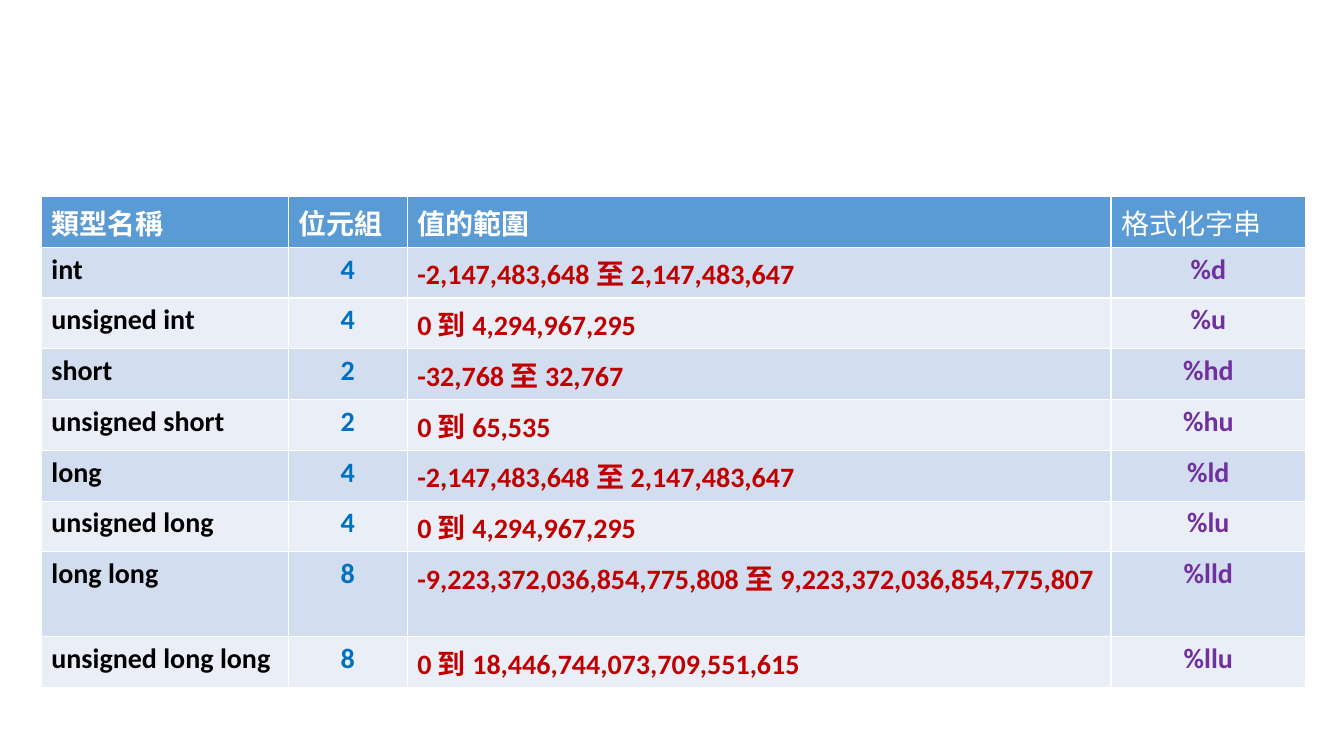
import pptx
import pptx.dml.color
import pptx.enum.text
import pptx.util

Inches = pptx.util.Inches
ALIGN = pptx.enum.text.PP_ALIGN

HEADERS = ["類型名稱", "位元組", "值的範圍", "格式化字串"]
INTEGER_TYPES = [
    ("int", "4", "-2,147,483,648 至 2,147,483,647", "%d"),
    ("unsigned int", "4", "0 到 4,294,967,295", "%u"),
    ("short", "2", "-32,768 至 32,767", "%hd"),
    ("unsigned short", "2", "0 到 65,535", "%hu"),
    ("long", "4", "-2,147,483,648 至 2,147,483,647", "%ld"),
    ("unsigned long", "4", "0 到 4,294,967,295", "%lu"),
    ("long long", "8", "-9,223,372,036,854,775,808 至 9,223,372,036,854,775,807", "%lld"),
    ("unsigned long long", "8", "0 到 18,446,744,073,709,551,615", "%llu"),
]
# Width in inches, body text colour, body alignment
COLUMNS = [
    (2.45, "000000", ALIGN.LEFT),
    (1.18, "0070C0", ALIGN.CENTER),
    (6.98, "C00000", ALIGN.LEFT),
    (1.93, "7030A0", ALIGN.CENTER),
]
HEADER_FILL = "5B9BD5"
BAND_FILLS = ["D2DEEF", "EAEFF7"]
LEFT, TOP, ROW_HEIGHT = 0.41, 1.95, 0.41


def rgb(color):
    return pptx.dml.color.RGBColor.from_string(color)


def fill_cell(cell, text, fill, color, alignment, bold=True):
    cell.fill.solid()
    cell.fill.fore_color.rgb = rgb(fill)
    cell.text_frame.text = text
    paragraph = cell.text_frame.paragraphs[0]
    paragraph.alignment = alignment
    font = paragraph.runs[0].font
    font.name = "Calibri"
    font.size = pptx.util.Pt(20)
    font.bold = bold
    font.color.rgb = rgb(color)


def main():
    presentation = pptx.Presentation()
    presentation.slide_width = Inches(13.33)
    presentation.slide_height = Inches(7.5)
    slide = presentation.slides.add_slide(presentation.slide_layouts[6])

    row_count = len(INTEGER_TYPES) + 1
    table_width = sum(width for width, _, _ in COLUMNS)
    table = slide.shapes.add_table(
        row_count, len(COLUMNS), Inches(LEFT), Inches(TOP),
        Inches(table_width), Inches(ROW_HEIGHT * row_count)).table
    for row in table.rows:
        row.height = Inches(ROW_HEIGHT)

    for column, (width, color, alignment) in enumerate(COLUMNS):
        table.columns[column].width = Inches(width)
        is_last = column == len(COLUMNS) - 1
        fill_cell(table.cell(0, column), HEADERS[column], HEADER_FILL,
                  "FFFFFF", ALIGN.JUSTIFY, bold=not is_last)
        for index, integer_type in enumerate(INTEGER_TYPES):
            fill_cell(table.cell(index + 1, column), integer_type[column],
                      BAND_FILLS[index % 2], color, alignment)

    presentation.save("out.pptx")


if __name__ == "__main__":
    main()
